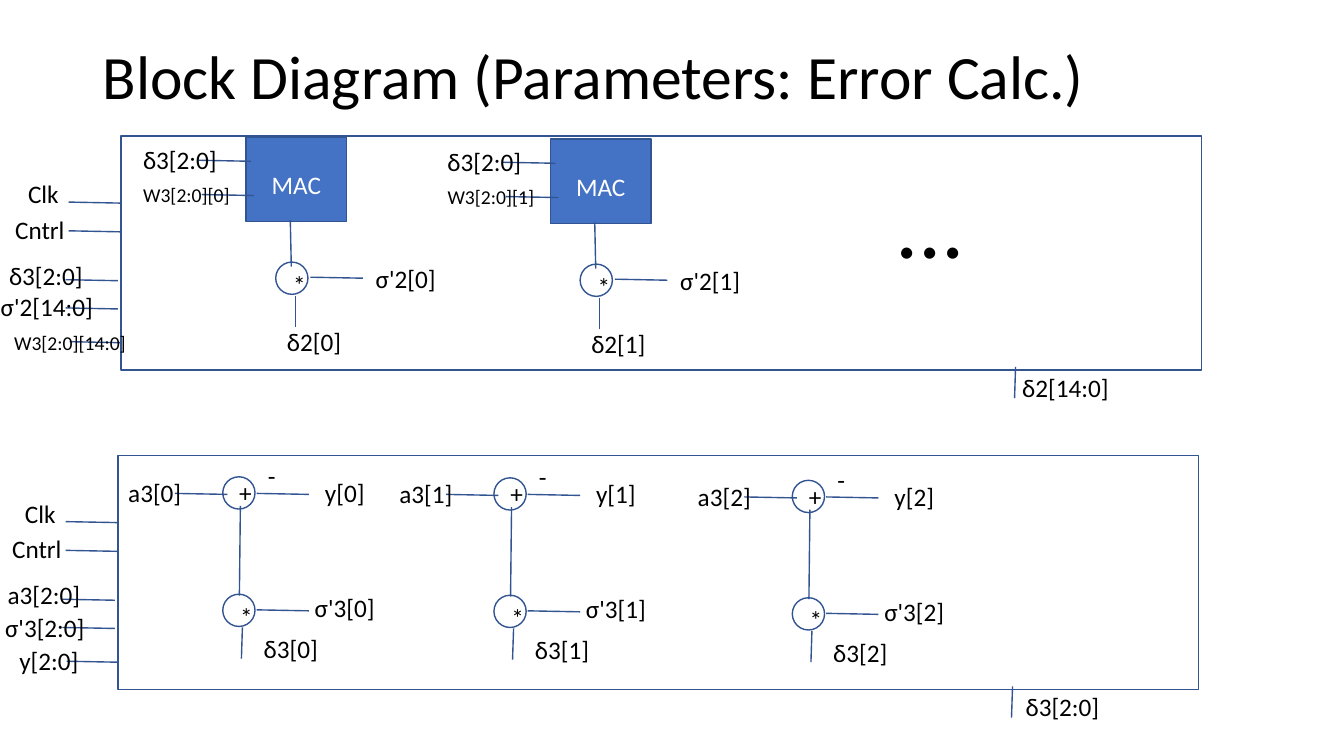
from lxml.etree import SubElement
from pptx import Presentation
from pptx.dml.color import RGBColor
from pptx.enum.shapes import MSO_CONNECTOR, MSO_SHAPE
from pptx.enum.text import MSO_ANCHOR, MSO_AUTO_SIZE, PP_ALIGN
from pptx.oxml.ns import qn
from pptx.util import Inches, Pt

BLACK = RGBColor(0x00, 0x00, 0x00)
WHITE = RGBColor(0xFF, 0xFF, 0xFF)
BLUE = RGBColor(0x44, 0x72, 0xC4)
OUTLINE = RGBColor(0x32, 0x54, 0x91)

# One column or row of the grid is a tenth of an inch
CELL = Inches(0.1)
COLUMNS, ROWS = 133.33, 75
NODE = 3.2
RUN, DROP = (5.2, 0.1), (-0.1, 3.1)


def cells(*counts):
    return [round(count * CELL) for count in counts]


class Diagram:
    """Draws on one slide, in grid cells counted from a movable origin."""

    def __init__(self, slide):
        self.slide = slide
        self.origin = (0, 0)

    def place(self, column, row):
        return self.origin[0] + column, self.origin[1] + row

    def text(self, words, column, row, width=13.5, height=4, size=18,
             color=BLACK, align=PP_ALIGN.CENTER, frame_format=None, spacing=None):
        box = self.slide.shapes.add_textbox(
            *cells(*self.place(column, row), width, height))
        frame = box.text_frame
        settings = {"word_wrap": True, "auto_size": MSO_AUTO_SIZE.SHAPE_TO_FIT_TEXT}
        settings.update(frame_format or {})
        for name, value in settings.items():
            setattr(frame, name, value)
        paragraph = frame.paragraphs[0]
        for name, value in {"alignment": align, "line_spacing": spacing}.items():
            setattr(paragraph, name, value)
        run = paragraph.add_run()
        run.text = words
        for name, value in {"name": "Calibri", "size": Pt(size)}.items():
            setattr(run.font, name, value)
        run.font.color.rgb = color

    def shape(self, kind, column, row, width, height, fill=WHITE):
        shape = self.slide.shapes.add_shape(
            kind, *cells(*self.place(column, row), width, height))
        shape.shadow.inherit = False
        shape.fill.solid()
        shape.fill.fore_color.rgb = fill
        shape.line.color.rgb = OUTLINE
        shape.line.width = Pt(1)

    def node(self, column, row):
        self.shape(MSO_SHAPE.OVAL, column, row, NODE, NODE)

    def wire(self, column, row, reach=RUN):
        start = self.place(column, row)
        end = (start[0] + reach[0], start[1] + reach[1])
        wire = self.slide.shapes.add_connector(
            MSO_CONNECTOR.STRAIGHT, *cells(*start, *end))
        wire.line.color.rgb = OUTLINE
        wire.line.width = Pt(1)
        SubElement(wire._element.spPr, qn("a:effectLst"))

    def panel(self, origin, inputs, output):
        """A block with its control wires, its own inputs and one output."""
        self.origin = origin
        self.shape(MSO_SHAPE.RECTANGLE, 0, 0, 107.2, 23.2)
        for column, row in ((-5.2, 6.55), (-5.2, 9.4), (-5.5, 14.25),
                            (-5.5, 17.05), (-5.1, 20.4)):
            self.wire(column, row)
        self.text("Clk", -10.6, 3.7, width=5.8)
        self.text("Cntrl", -12.65, 7.25, width=9.2)
        for label in inputs:
            self.text(**label)
        self.wire(88.75, 22.9, DROP)
        self.text(output, 86.95, 22.9)

    def mac_unit(self, origin, index):
        """A multiply-accumulate block feeding a product node."""
        self.origin = origin
        self.shape(MSO_SHAPE.RECTANGLE, 0, 0, 10, 8.4, BLUE)
        self.text("MAC", 1.2, 2.75, width=7.6, color=WHITE)
        self.wire(-4.7, 2.3)
        self.text("δ3[2:0]", -13.4, 0.25, width=13.7)
        self.wire(-4.4, 5.7)
        self.text(f"W3[2:0][{index}]", -12.1, 4.1, width=12.4, height=3.4, size=14)
        self.node(2.95, 12.4)
        self.wire(6.4, 13.9)
        self.wire(4.9, 15.75, (0, 3.1))
        self.text("*", 3.7, 12.6, width=2.3)
        self.wire(4.4, 8.25, (0.1, 4.6))
        self.text(f"σ'2[{index}]", 9.1, 12)
        self.text(f"δ2[{index}]", 0, 18.3)

    def error_unit(self, origin, index):
        """A difference node feeding a product node."""
        self.origin = origin
        for row in (0, 11.65):
            self.node(0, row)
        for column, row in ((-4.75, 1.65), (3.35, 1.65), (3.35, 13.2)):
            self.wire(column, row)
        self.wire(1.75, 2.9, (-0.1, 8.9))
        self.wire(1.95, 14.95, DROP)
        self.text(f"a3[{index}]", -13.5, -0.4)
        self.text(f"y[{index}]", 5.35, -0.4)
        self.text(f"σ'3[{index}]", 5.35, 11)
        self.text("-", 3.1, -2.1, width=3.5)
        self.text("+", 0.65, -0.4, width=2.3)
        self.text("*", 0.75, 11.85, width=2.3)
        self.text(f"δ3[{index}]", 0, 15.05)


def main():
    presentation = Presentation()
    presentation.slide_width, presentation.slide_height = cells(COLUMNS, ROWS)
    diagram = Diagram(presentation.slides.add_slide(presentation.slide_layouts[6]))

    # Title
    diagram.text("Block Diagram (Parameters: Error Calc.)", 9.2, 4, 115, 7.7,
                 size=44, align=PP_ALIGN.LEFT, spacing=0.9,
                 frame_format={"vertical_anchor": MSO_ANCHOR.MIDDLE,
                               "auto_size": MSO_AUTO_SIZE.NONE})

    # Output layer error
    diagram.panel((11.7, 45.2), [
        {"words": "a3[2:0]", "column": -14.1, "row": 11.8},
        {"words": "σ'3[2:0]", "column": -14.1, "row": 15.1, "width": 13.7},
        {"words": "y[2:0]", "column": -13.7, "row": 18.3, "width": 13.7},
    ], "δ3[2:0]")
    for index, origin in enumerate(((22.1, 47.3), (49, 47.4), (78.6, 47.65))):
        diagram.error_unit(origin, index)

    # Hidden layer error
    diagram.panel((12, 13.5), [
        {"words": "δ3[2:0]", "column": -14.2, "row": 11.8},
        {"words": "σ'2[14:0]", "column": -14.2, "row": 14.9, "width": 13.7},
        {"words": "W3[2:0][14:0]", "column": -12.9, "row": 18.8, "width": 15.7,
         "height": 3.4, "size": 14},
    ], "δ2[14:0]")
    for index, origin in enumerate(((24.4, 13.6), (54.6, 13.8))):
        diagram.mac_unit(origin, index)

    # Further units
    diagram.origin = (0, 0)
    diagram.text("...", 77.3, 16, width=30, height=12.1, size=66)

    presentation.save("out.pptx")


if __name__ == "__main__":
    main()
